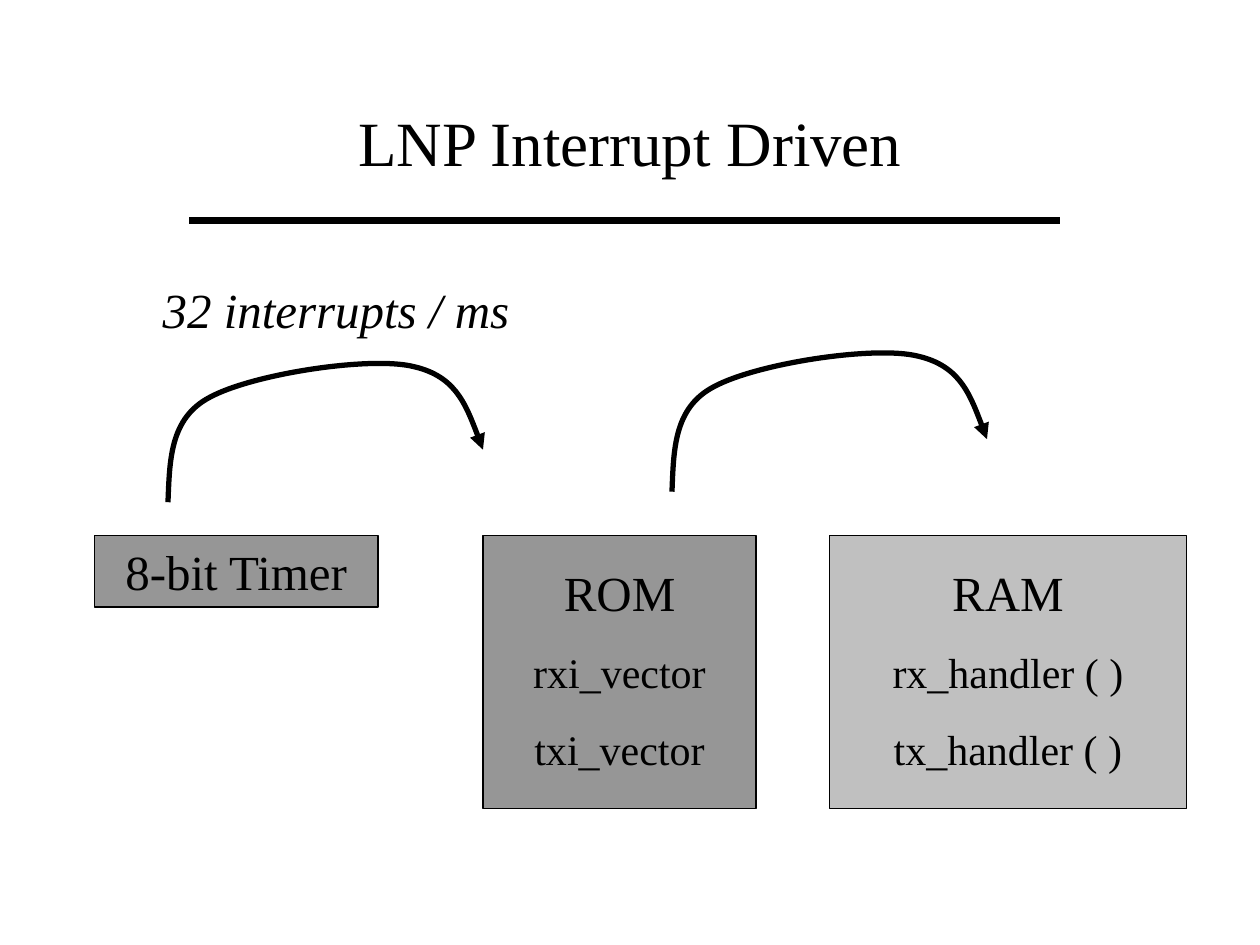
"""Build the slide on interrupt-driven LNP."""
from lxml import etree
from pptx import Presentation
from pptx import util as u
from pptx.dml.color import RGBColor
from pptx.enum import shapes, text
from pptx.oxml import ns

Pt = u.Pt
HUES = {"ink": "000000", "dark": "969696", "light": "C0C0C0"}
FACE = {"name": "Times New Roman", "bold": False}
FRAME = {"word_wrap": True, "auto_size": text.MSO_AUTO_SIZE.NONE,
         "margin_left": Pt(7.2), "margin_right": Pt(7.2),
         "margin_top": Pt(3.6), "margin_bottom": Pt(3.6)}
CURVE = [(1, -24), (1, -48), (24, -60),
         (48, -73), (112, -83), (138, -78),
         (164, -73), (172, -52), (180, -30)]
UNITS = [
    {"name": "RAM", "fill": "light", "left": 474, "width": 204, "wide": 216,
     "calls": ["rx_handler ( )", "tx_handler ( )"]},
    {"name": "ROM", "fill": "dark", "left": 276, "width": 156, "wide": 132,
     "calls": ["rxi_vector", "txi_vector"]},
]


def hue(key):
    """Return the named colour."""
    return RGBColor.from_string(HUES[key])


def apply(obj, props):
    """Set each attribute in props on obj."""
    for key, val in props.items():
        setattr(obj, key, val)


def write(shape, lines, size, anchor=text.MSO_ANCHOR.TOP, gap=0, **extra):
    """Fill a shape with centred lines of one size."""
    frame = shape.text_frame
    apply(frame, {**FRAME, "vertical_anchor": anchor})
    frame.text = "\n".join(lines)
    for num, para in enumerate(frame.paragraphs):
        apply(para, {"alignment": text.PP_ALIGN.CENTER,
                     "space_before": Pt(gap if num else 0)})
        apply(para.font, {**FACE, "size": Pt(size), **extra})
        para.font.color.rgb = hue("ink")


def label(slide, box, lines, size, **extra):
    """Add a text box."""
    shape = slide.shapes.add_textbox(*map(Pt, box))
    write(shape, lines, size, **extra)


def block(slide, box, fill):
    """Add a filled, outlined rectangle."""
    shape = slide.shapes.add_shape(shapes.MSO_SHAPE.RECTANGLE, *map(Pt, box))
    shape.shadow.inherit = False
    shape.fill.solid()
    shape.fill.fore_color.rgb = hue(fill)
    stroke(shape.line, 0.75)
    return shape


def stroke(line, width):
    """Draw a line in ink at the given width."""
    line.color.rgb = hue("ink")
    line.width = Pt(width)


def rule(slide, left, right, top):
    """Add a level line under the title."""
    line = slide.shapes.add_connector(
        shapes.MSO_CONNECTOR.STRAIGHT, *map(Pt, (left, top, right, top)))
    stroke(line.line, 3.5)
    etree.SubElement(line._element.spPr, ns.qn("a:effectLst"))


def arc(slide, left, top):
    """Add a curved arrow that starts at the given point."""
    pen = slide.shapes.build_freeform(Pt(left), Pt(top))
    pen.add_line_segments([(Pt(left + x), Pt(top + y)) for x, y in CURVE],
                          close=False)
    shape = pen.convert_to_shape()
    shape.shadow.inherit = False
    shape.fill.background()
    stroke(shape.line, 3)
    curve(shape)
    etree.SubElement(shape.line._get_or_add_ln(), ns.qn("a:tailEnd"),
                     type="triangle")


def curve(shape):
    """Turn each three straight segments into one cubic curve."""
    track = shape._element.find(".//" + ns.qn("a:path"))
    legs = track.findall(ns.qn("a:lnTo"))
    for num in range(0, len(legs), 3):
        cubic = etree.SubElement(track, ns.qn("a:cubicBezTo"))
        for leg in legs[num:num + 3]:
            cubic.append(leg[0])
            track.remove(leg)


def unit(slide, name, fill, left, width, wide, calls):
    """Add a memory block with its name and calls."""
    mid = left + width / 2
    block(slide, (left, 306, width, 156), fill)
    label(slide, (mid - 78, 318, 156, 41), [name], 28)
    label(slide, (mid - wide / 2, 366, wide, 80), calls, 24, gap=15)


def main():
    """Build and save the slide."""
    deck = Presentation()
    apply(deck, {"slide_width": Pt(720), "slide_height": Pt(540)})
    slide = deck.slides.add_slide(deck.slide_layouts[5])
    title = slide.shapes.title
    apply(title, {"left": Pt(54), "top": Pt(48),
                  "width": Pt(612), "height": Pt(66)})
    write(title, ["LNP Interrupt Driven"], 36, text.MSO_ANCHOR.MIDDLE)
    rule(slide, 108, 606, 126)
    timer = block(slide, (54, 306, 162, 41), "dark")
    write(timer, ["8-bit Timer"], 28)
    for item in UNITS:
        unit(slide, **item)
    for start in ((96, 287), (384, 281)):
        arc(slide, *start)
    label(slide, (84, 156, 216, 41), ["32 interrupts / ms"], 28, italic=True)
    deck.save("out.pptx")


if __name__ == "__main__":
    main()
